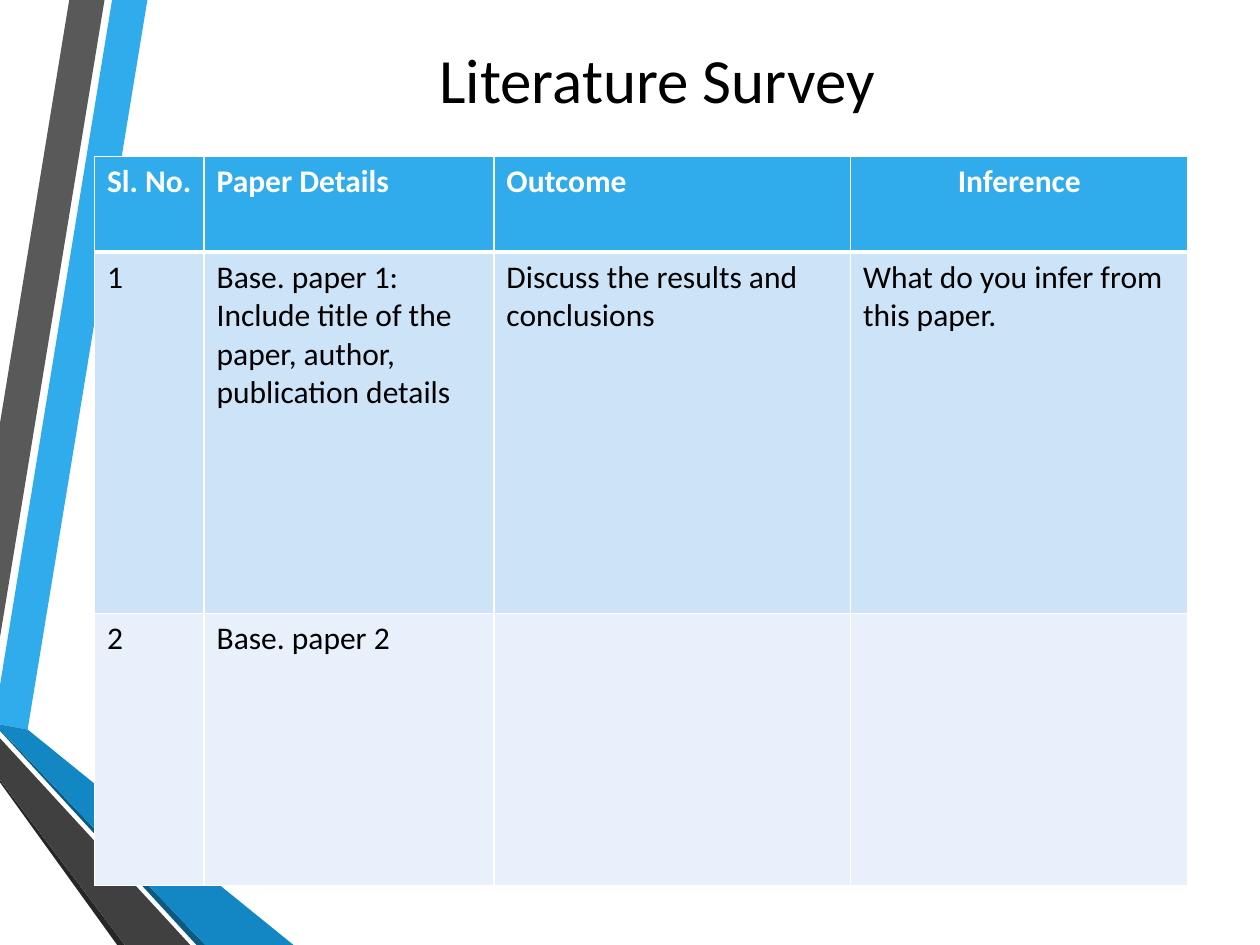
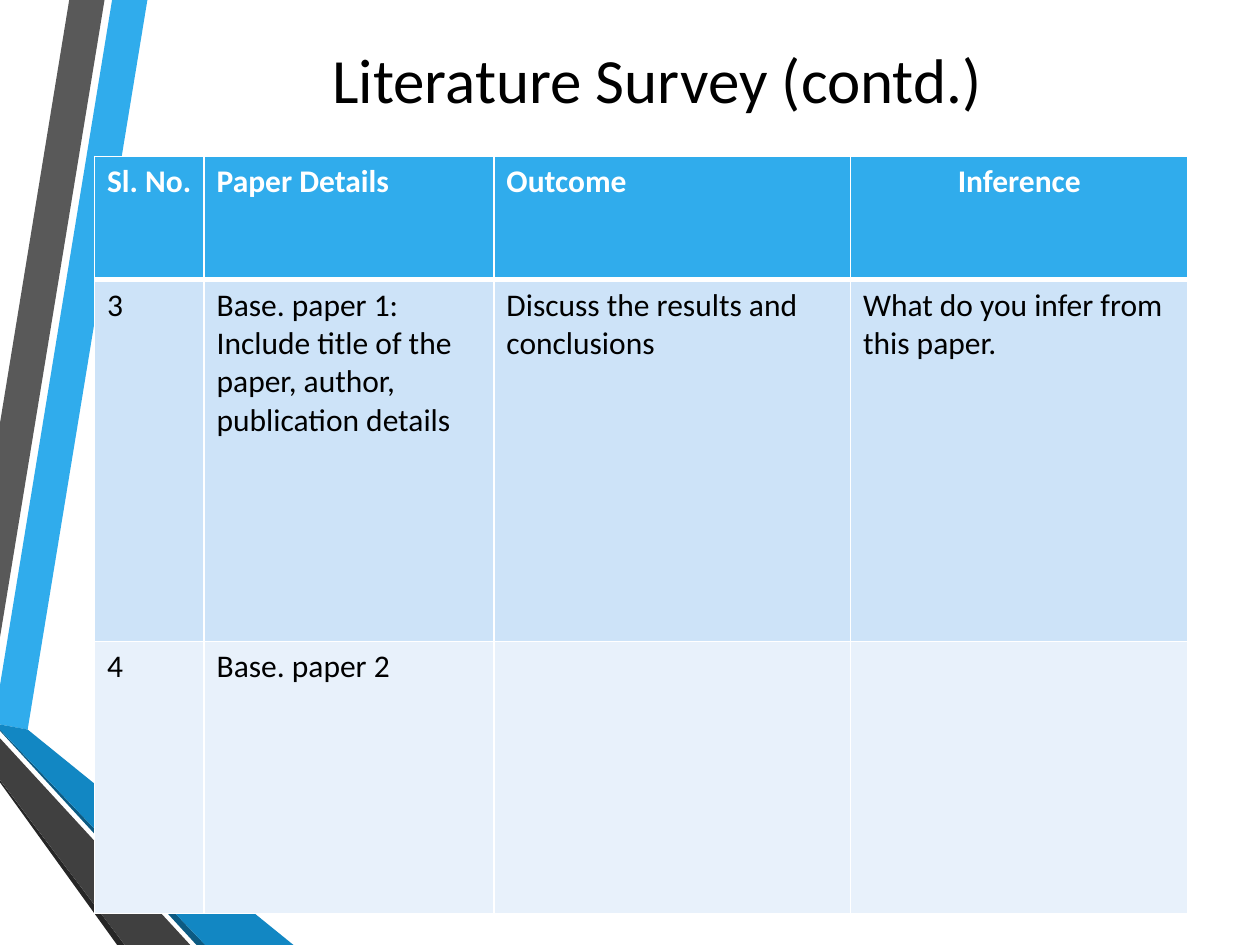
from lxml.etree import SubElement
from pptx import Presentation
from pptx.dml.color import RGBColor
from pptx.enum.text import MSO_ANCHOR as Anchor, PP_ALIGN as Align
from pptx.oxml.ns import qn
from pptx.util import Inches, Pt

BLACK = RGBColor(0x00, 0x00, 0x00)
WHITE = RGBColor(0xFF, 0xFF, 0xFF)
SKY = RGBColor(0x30, 0xAC, 0xEC)
BLUE = RGBColor(0x12, 0x87, 0xC3)
DEEP_BLUE = RGBColor(0x0C, 0x5A, 0x82)
GRAY = RGBColor(0x59, 0x59, 0x59)
DARK_GRAY = RGBColor(0x40, 0x40, 0x40)
CHARCOAL = RGBColor(0x26, 0x26, 0x26)
PALE_BLUE = RGBColor(0xCD, 0xE3, 0xF8)
PALEST_BLUE = RGBColor(0xE8, 0xF1, 0xFB)

RIBBONS = [
    (SKY, [(0, 5.44), (0, 5.75), (0.22, 5.79), (1.17, 0), (0.89, 0)]),
    (GRAY, [(0.83, 0), (0.55, 0), (0, 3.36), (0, 5.06)]),
    (CHARCOAL, [(0, 6.19), (0, 6.21), (0.93, 7.5), (0.99, 7.5)]),
    (DEEP_BLUE, [(0, 5.79), (0, 5.8), (1.56, 7.5), (1.63, 7.5)]),
    (BLUE, [(0, 5.79), (1.63, 7.5), (2.33, 7.5), (0.22, 5.79), (0, 5.75)]),
    (DARK_GRAY, [(0, 6.19), (0.99, 7.5), (1.51, 7.5), (0, 5.86)]),
]
COLUMN_WIDTHS = [0.87, 2.3, 2.83, 2.68]
BODY_HEIGHTS = [2.87, 2.16]
ROW_FILLS = [SKY, PALE_BLUE, PALEST_BLUE]
HEADINGS = ["Sl. No.", "Paper Details ", "Outcome", "Inference"]
FIRST_PAPER = [
    "Base. paper 1:\nInclude title of the paper, author, publication details ",
    "Discuss the results and conclusions",
    "What do you infer from this paper.",
]
SECOND_PAPER = ["Base. paper 2", "", ""]


class SurveyDeck:
    font = "Calibri"
    title_size = Pt(36)
    table_size = Pt(18)

    def __init__(self):
        self.presentation = Presentation()
        self.presentation.slide_width = Inches(10)
        self.presentation.slide_height = Inches(7.5)
        self.slide = None

    def new_slide(self):
        layout = self.presentation.slide_layouts[6]
        self.slide = self.presentation.slides.add_slide(layout)
        for color, points in RIBBONS:
            self.ribbon(color, points)

    def ribbon(self, color, points):
        start, *rest = [(Inches(x), Inches(y)) for x, y in points]
        builder = self.slide.shapes.build_freeform(*start)
        builder.add_line_segments(rest, close=True)
        shape = builder.convert_to_shape()
        shape.shadow.inherit = False
        shape.fill.solid()
        shape.fill.fore_color.rgb = color
        shape.line.fill.background()

    def text_run(self, paragraph, text, size, color, bold=False):
        run = paragraph.add_run()
        run.text = text
        run.font.name = self.font
        run.font.size = size
        run.font.bold = bold
        run.font.color.rgb = color

    def title(self, text):
        box = self.slide.shapes.add_textbox(
            Inches(1), Inches(0.25), Inches(8.43), Inches(0.75))
        frame = box.text_frame
        frame.word_wrap = True
        frame.vertical_anchor = Anchor.MIDDLE
        paragraph = frame.paragraphs[0]
        paragraph.alignment = Align.CENTER
        self.text_run(paragraph, text, self.title_size, BLACK)

    def border(self, cell, side, width):
        properties = cell._tc.get_or_add_tcPr()
        line = SubElement(properties, qn(f"a:ln{side}"), w=str(Pt(width)))
        fill = SubElement(line, qn("a:solidFill"))
        SubElement(fill, qn("a:srgbClr"), val=str(WHITE))

    def cell(self, cell, text, row, centered):
        header = row == 0
        widths = {"L": 1, "R": 1, "T": 3 if row == 1 else 1, "B": 3 if header else 1}
        for side, width in widths.items():
            self.border(cell, side, width)
        cell.fill.solid()
        cell.fill.fore_color.rgb = ROW_FILLS[row]
        frame = cell.text_frame
        for index, line in enumerate(text.split("\n") if text else []):
            paragraph = frame.add_paragraph() if index else frame.paragraphs[0]
            paragraph.alignment = Align.CENTER if centered else Align.LEFT
            self.text_run(paragraph, line, self.table_size,
                          WHITE if header else BLACK, header)

    def table(self, rows, header_height):
        heights = [header_height, *BODY_HEIGHTS]
        table = self.slide.shapes.add_table(
            len(rows), len(COLUMN_WIDTHS), Inches(0.75), Inches(1.24),
            Inches(sum(COLUMN_WIDTHS)), Inches(sum(heights))).table
        for column, width in zip(table.columns, COLUMN_WIDTHS):
            column.width = Inches(width)
        for row, (texts, height) in enumerate(zip(rows, heights)):
            table.rows[row].height = Inches(height)
            for column, text in enumerate(texts):
                centered = row == 0 and text == "Inference"
                self.cell(table.cell(row, column), text, row, centered)

    def survey(self, title, first_number, header_height):
        self.new_slide()
        self.title(title)
        self.table([HEADINGS,
                    [str(first_number), *FIRST_PAPER],
                    [str(first_number + 1), *SECOND_PAPER]], header_height)


deck = SurveyDeck()
deck.survey("Literature Survey", 1, 0.76)
deck.survey("Literature Survey (contd.)", 3, 0.98)
deck.presentation.save("out.pptx")
